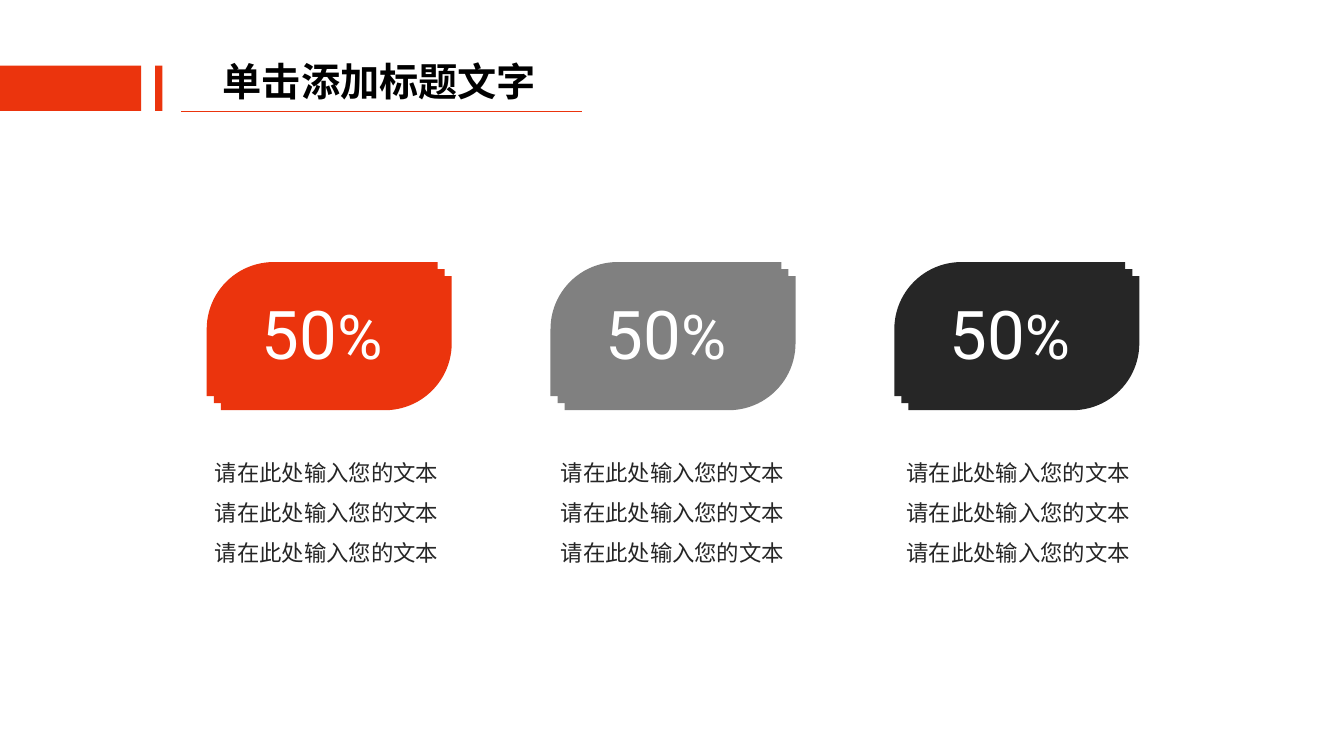
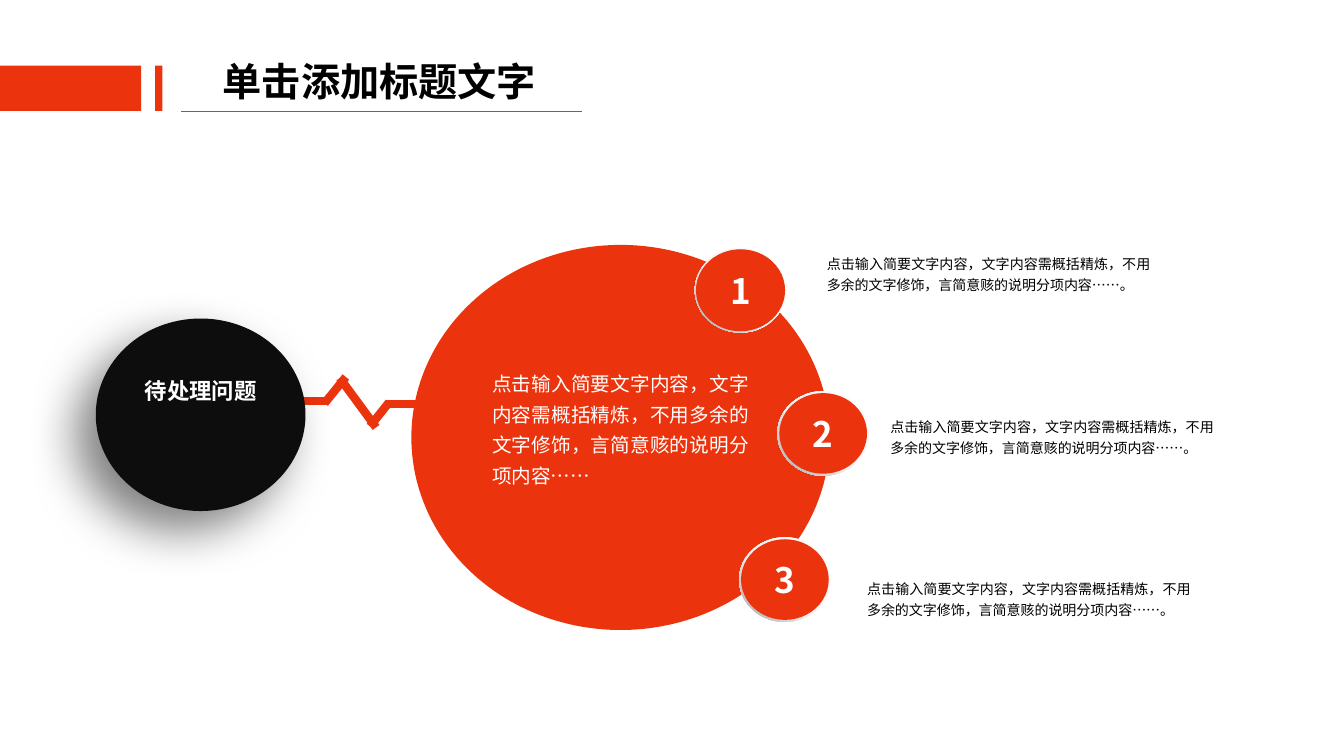
from lxml.etree import SubElement
from pptx import Presentation
from pptx.dml.color import RGBColor
from pptx.enum.shapes import MSO_CONNECTOR, MSO_SHAPE
from pptx.enum.text import MSO_ANCHOR, MSO_AUTO_SIZE, PP_ALIGN
from pptx.oxml.ns import qn
from pptx.util import Pt

# Shared style: 100 px to the inch
PX = 9144
COLOURS = {
    "accent": "EB340D", "grey": "808080", "dark": "262626", "disc": "0D0D0D",
    "black": "000000", "white": "FFFFFF", "pale": "F2F2F2", "silver": "A6A6A6",
}
CJK_FONT = "Noto Sans CJK SC"
NUMBER_FONT = "Roboto"
TITLE = "单击添加标题文字"

# Slide content
TILE_COLOURS = ("accent", "grey", "dark")
CAPTION = "\n".join(["请在此处输入您的文本"] * 3)
SUMMARY = "点击输入简要文字内容，文字内容需概括精炼，不用多余的文字修饰，言简意赅的说明分项内容……"
PULSE = (
    (259, 398, 325, 398), (383, 401, 437, 401), (322, 400, 343, 374),
    (367, 423, 386, 399), (373, 424, 337, 375),
)
# Badge corner, outline width in points, note corner
BADGES = (
    ((689, 246), 1, (820, 249)),
    ((771, 388), 0, (883, 411)),
    ((733, 533), 0, (860, 572)),
)


def px(*lengths):
    return [length * PX for length in lengths]


def rgb(name):
    return RGBColor.from_string(COLOURS[name])


def format_run(run, size, colour, bold=False, font=CJK_FONT):
    run.font.size = Pt(size)
    run.font.name = font
    run.font.bold = bold
    run.font.color.rgb = rgb(colour)
    SubElement(run._r.get_or_add_rPr(), qn("a:ea")).set("typeface", font)


def format_text(frame, size, colour, bold=False, align=PP_ALIGN.LEFT, spacing=None):
    for paragraph in frame.paragraphs:
        paragraph.alignment = align
        paragraph.line_spacing = spacing
        for run in paragraph.runs:
            format_run(run, size, colour, bold)


def set_margins(frame, left=0, top=0, right=0, bottom=0):
    frame.margin_left, frame.margin_top, frame.margin_right, frame.margin_bottom = px(
        left, top, right, bottom)


def add_text(slide, box, text, size, colour, wrap=True, inset=(0, 0), **style):
    frame = slide.shapes.add_textbox(*px(*box)).text_frame
    frame.word_wrap = wrap
    frame.auto_size = MSO_AUTO_SIZE.SHAPE_TO_FIT_TEXT
    set_margins(frame, *inset, *inset)
    frame.text = text
    format_text(frame, size, colour, **style)


def add_filled(slide, kind, box, colour):
    shape = slide.shapes.add_shape(kind, *px(*box))
    shape.shadow.inherit = False
    shape.fill.solid()
    shape.fill.fore_color.rgb = rgb(colour)
    shape.line.fill.background()
    return shape


def add_line(slide, ends, width):
    line = slide.shapes.add_connector(MSO_CONNECTOR.STRAIGHT, *px(*ends))
    line.line.color.rgb = rgb("accent")
    line.line.width = Pt(width)
    SubElement(line._element.spPr, qn("a:effectLst"))


def add_soft_shadow(shape):
    effects = shape._element.spPr.find(qn("a:effectLst"))
    shadow = SubElement(effects, qn("a:outerShdw"), blurRad=str(Pt(35)),
                        dist=str(Pt(20)), dir="8100000", algn="tr", rotWithShape="0")
    colour = SubElement(shadow, qn("a:srgbClr"), val=COLOURS["black"])
    SubElement(colour, qn("a:alpha"), val="50000")


def fill_metallic(shape):
    shape.fill.gradient()
    shape.fill.gradient_angle = 225
    stops = shape._element.spPr.find(".//" + qn("a:gsLst"))
    stops.clear()
    for position, name in ((0, "white"), (55, "pale"), (100, "silver")):
        stop = SubElement(stops, qn("a:gs"), pos=str(position * 1000))
        SubElement(stop, qn("a:srgbClr"), val=COLOURS[name])


def add_ringed_disc(slide, box, inset):
    left, top, width, height = box
    across, down = inset
    ring = add_filled(slide, MSO_SHAPE.DONUT, box, "accent")
    ring.adjustments[0] = 0.05
    inner = (left + across, top + down, width - 2 * across, height - 2 * down)
    return ring, add_filled(slide, MSO_SHAPE.OVAL, inner, "accent")


def add_badge(slide, corner, number, outline):
    ring, disc = add_ringed_disc(slide, (*corner, 91, 84), (2, 2))
    fill_metallic(ring)
    if outline:
        disc.line.color.rgb = rgb("accent")
        disc.line.width = Pt(outline)
    frame = disc.text_frame
    frame.text = str(number)
    frame.vertical_anchor = MSO_ANCHOR.MIDDLE
    format_text(frame, 25, "white", bold=True, align=PP_ALIGN.CENTER)


def add_tile(slide, left, top, colour):
    # Three stacked leaves; the front one carries the figure
    for offset in (14, 7, 0):
        leaf = add_filled(slide, MSO_SHAPE.ROUND_2_DIAG_RECTANGLE,
                          (left + offset, top + offset, 229, 133), colour)
        leaf.adjustments[0] = 0.5
        leaf.adjustments[1] = 0
    frame = leaf.text_frame
    set_margins(frame, bottom=16)
    frame.vertical_anchor = MSO_ANCHOR.MIDDLE
    paragraph = frame.paragraphs[0]
    paragraph.alignment = PP_ALIGN.CENTER
    paragraph.line_spacing = 1.3
    for text, size in (("50", 48), ("%", 44)):
        run = paragraph.add_run()
        run.text = text
        format_run(run, size, "white", font=NUMBER_FONT)


def add_titled_slide(presentation):
    slide = presentation.slides.add_slide(presentation.slide_layouts[5])
    for box in ((154, 65, 7, 45), (0, 65, 140, 45)):
        add_filled(slide, MSO_SHAPE.RECTANGLE, box, "accent")
    add_line(slide, (180, 110, 577, 110), 0.5)
    title = slide.shapes.title
    title.left, title.top, title.width, title.height = px(211, 52, 334, 57)
    frame = title.text_frame
    frame.text = TITLE
    frame.word_wrap = False
    frame.auto_size = MSO_AUTO_SIZE.SHAPE_TO_FIT_TEXT
    frame.vertical_anchor = MSO_ANCHOR.TOP
    set_margins(frame, 10, 5, 10, 5)
    format_text(frame, 28, "black", bold=True)
    return slide


def build_percentages(presentation):
    slide = add_titled_slide(presentation)
    for index, colour in enumerate(TILE_COLOURS):
        add_tile(slide, 205 + 341 * index, 260, colour)
        add_text(slide, (162 + 343 * index, 437, 324, 131), CAPTION, 16, "dark",
                 inset=(10, 5), align=PP_ALIGN.CENTER, spacing=1.5)


def build_problem(presentation):
    slide = add_titled_slide(presentation)
    # Pulse line between the two discs
    for ends in PULSE:
        add_line(slide, ends, 6)
    add_soft_shadow(add_filled(slide, MSO_SHAPE.OVAL, (95, 316, 208, 191), "disc"))
    add_text(slide, (143, 374, 112, 27), "待处理问题", 16, "white", wrap=False,
             bold=True, align=PP_ALIGN.CENTER)
    add_ringed_disc(slide, (408, 243, 415, 382), (9, 8))
    add_text(slide, (488, 362, 255, 123), SUMMARY, 14, "white",
             align=PP_ALIGN.JUSTIFY, spacing=1.3)
    # Numbered badges with their notes
    for number, (corner, outline, note_corner) in enumerate(BADGES, 1):
        add_badge(slide, corner, number, outline)
        add_text(slide, (*note_corner, 321, 42), SUMMARY + "。", 10, "black",
                 align=PP_ALIGN.JUSTIFY, spacing=Pt(15))


def main():
    presentation = Presentation()
    presentation.slide_width, presentation.slide_height = px(1333, 750)
    build_percentages(presentation)
    build_problem(presentation)
    presentation.save("out.pptx")


if __name__ == "__main__":
    main()
